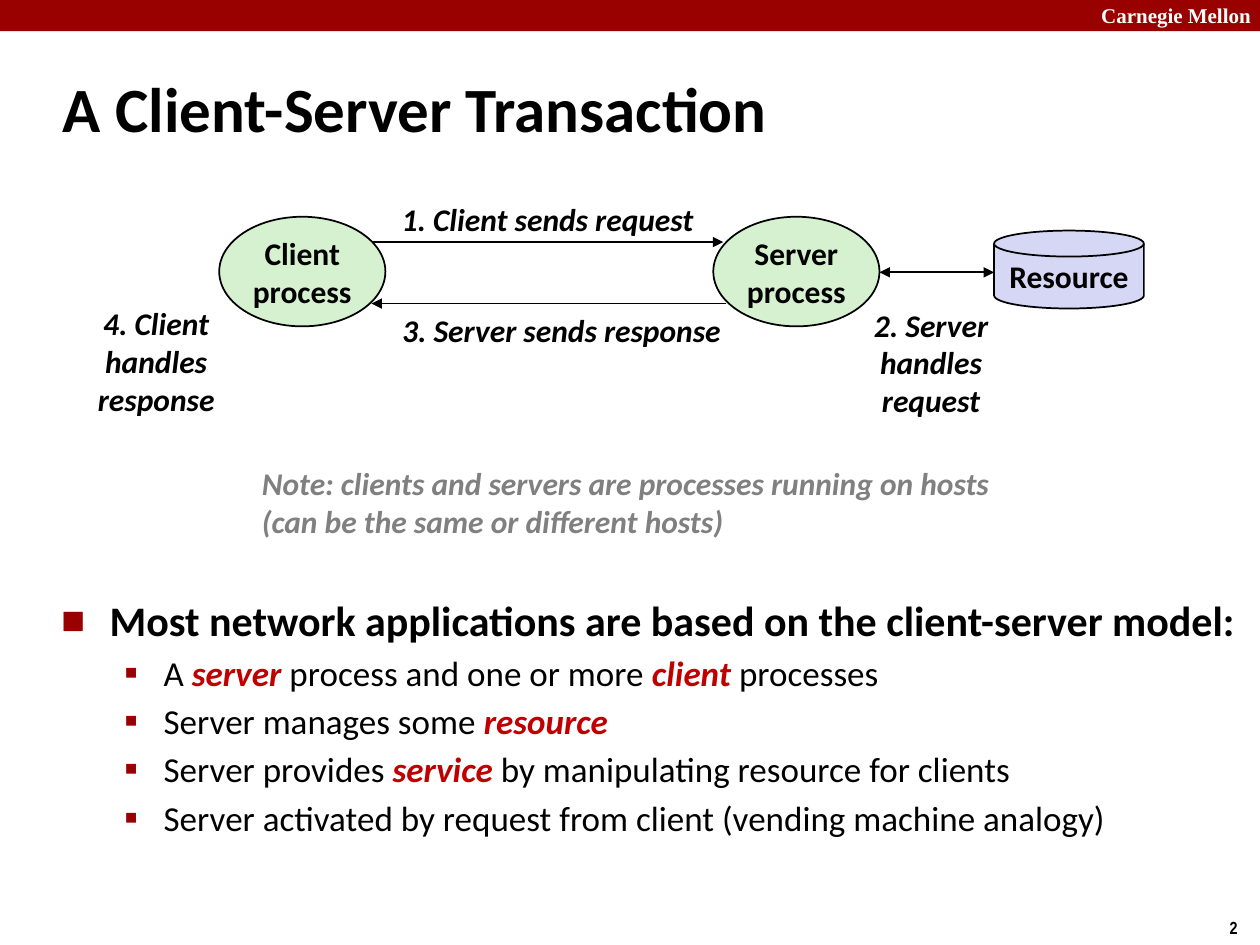
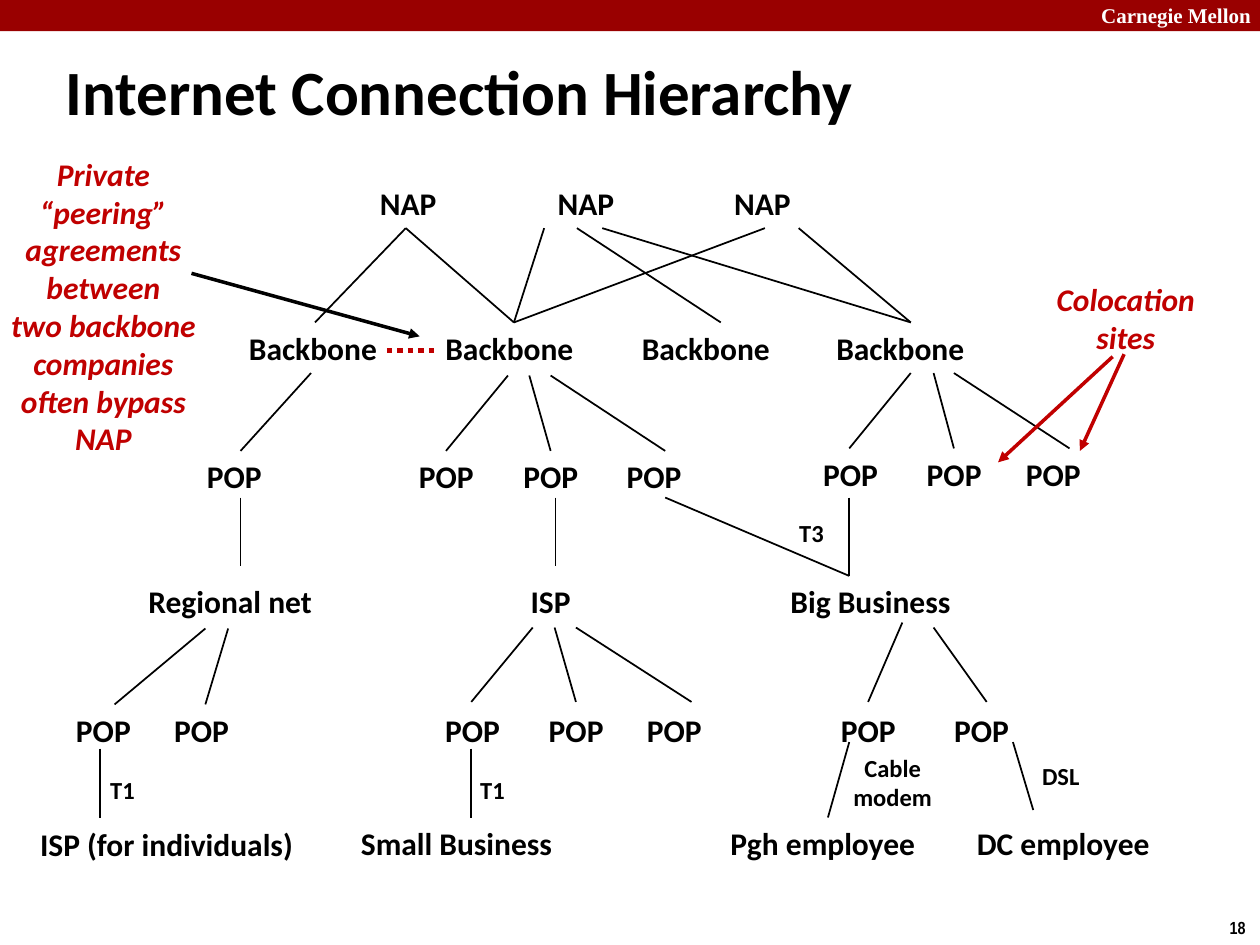
"""Build two networking slides: a client-server transaction and the Internet hierarchy."""
from dataclasses import dataclass

from lxml.etree import SubElement
from pptx import Presentation
from pptx.dml.color import RGBColor
from pptx.enum.dml import MSO_LINE
from pptx.enum.shapes import MSO_CONNECTOR, MSO_SHAPE
from pptx.enum.text import MSO_ANCHOR, PP_ALIGN
from pptx.oxml.ns import qn
from pptx.util import Cm, Pt


@dataclass(frozen=True)
class Theme:
    band: str = "990000"
    accent: str = "C00000"
    ink: str = "000000"
    note: str = "808080"
    paper: str = "FFFFFF"
    process: str = "D5F1CF"
    resource: str = "D6D6F5"
    font: str = "Calibri"
    band_font: str = "Times New Roman"
    page_font: str = "Arial Narrow"
    title: int = 36
    lead: int = 24
    body: int = 20
    label: int = 18
    small: int = 14
    header: int = 12
    page: int = 10


T = Theme()


def text(s, txt, x, y, w, h, *, shape=None, fill=None, size=T.label, font=T.font,
         color=T.ink, bold=True, italic=False, align=PP_ALIGN.CENTER,
         anchor=MSO_ANCHOR.MIDDLE):
    at = Cm(x), Cm(y), Cm(w), Cm(h)
    if shape is None:
        sp = s.shapes.add_textbox(*at)
    else:
        sp = s.shapes.add_shape(shape, *at)
        sp.shadow.inherit = False
        sp.fill.solid()
        sp.fill.fore_color.rgb = RGBColor.from_string(fill)
        sp.line.color.rgb = RGBColor.from_string(T.ink)
        sp.line.width = Pt(1)
    tf = sp.text_frame
    tf.word_wrap = align == PP_ALIGN.LEFT
    tf.vertical_anchor = anchor
    for i, row in enumerate(txt.split("\n")):
        p = tf.add_paragraph() if i else tf.paragraphs[0]
        p.alignment = align
        for j, part in enumerate(row.split("*")):
            key = j % 2 == 1
            r = p.add_run()
            r.text = part
            r.font.name = font
            r.font.size = Pt(size)
            r.font.bold = bold or key
            r.font.italic = italic or key
            r.font.color.rgb = RGBColor.from_string(T.accent if key else color)
    return tf


def line(s, x1, y1, x2, y2, *, color=T.ink, width=1, ends=(), dash=None):
    c = s.shapes.add_connector(MSO_CONNECTOR.STRAIGHT, Cm(x1), Cm(y1), Cm(x2), Cm(y2))
    c.line.color.rgb = RGBColor.from_string(color)
    c.line.width = Pt(width)
    if dash:
        c.line.dash_style = dash
    spPr = c._element.spPr
    for end in ends:
        SubElement(spPr.find(qn("a:ln")), qn(f"a:{end}"), type="triangle")
    SubElement(spPr, qn("a:effectLst"))


prs = Presentation()
prs.slide_width, prs.slide_height = Cm(25.4), Cm(19.05)

slides = []
for title, page, x, y, w, anchor in (
    ("A Client-Server Transaction", "2", 1.02, 1.37, 19.89, MSO_ANCHOR.MIDDLE),
    ("Internet Connection Hierarchy", "18", 1.07, 0.94, 20.96, MSO_ANCHOR.TOP),
):
    s = prs.slides.add_slide(prs.slide_layouts[6])
    band = s.shapes.add_shape(MSO_SHAPE.RECTANGLE, 0, 0, prs.slide_width, Cm(0.63))
    band.shadow.inherit = False
    band.fill.solid()
    band.fill.fore_color.rgb = RGBColor.from_string(T.band)
    band.line.fill.background()
    text(s, "Carnegie Mellon", 21.95, -0.08, 3.63, 0.76, size=T.header,
         font=T.band_font, color=T.paper, align=PP_ALIGN.LEFT)
    text(s, page, 24.54, 18.36, 0.86, 0.69, size=T.page, font=T.page_font,
         align=PP_ALIGN.LEFT)
    text(s, title, x, y, w, 1.6, size=T.title, align=PP_ALIGN.LEFT, anchor=anchor)
    slides.append(s)

s = slides[0]
line(s, 7.47, 4.88, 14.58, 4.88, ends=["tailEnd"])
line(s, 14.63, 6.12, 7.49, 6.12, ends=["tailEnd"])
line(s, 17.73, 5.49, 20.04, 5.49, ends=["headEnd", "tailEnd"])
for name, x in (("Client", 4.42), ("Server", 14.38)):
    text(s, f"{name}\nprocess", x, 4.37, 3.35, 2.21, shape=MSO_SHAPE.OVAL, fill=T.process)
text(s, "Resource", 20.04, 4.65, 3.02, 1.57,
     shape=MSO_SHAPE.FLOWCHART_MAGNETIC_DISK, fill=T.resource)
for step, x, y, w, h in (
    ("1. Client sends request", 7.8, 3.91, 6.48, 1.02),
    ("2. Server\nhandles\nrequest", 17.27, 6.02, 3, 2.57),
    ("3. Server sends response", 7.8, 6.15, 7.04, 1.02),
    ("4. Client\nhandles\nresponse", 1.7, 5.99, 2.9, 2.57),
):
    text(s, step, x, y, w, h, italic=True)
text(s, "Note: clients and servers are processes running on hosts\n"
     "(can be the same or different hosts)", 5.03, 9.22, 15.52, 1.8,
     color=T.note, italic=True, align=PP_ALIGN.LEFT)

tf = text(s, "Most network applications are based on the client-server model:\n"
          "A *server* process and one or more *client* processes\n"
          "Server manages some *resource*\n"
          "Server provides *service* by manipulating resource for clients\n"
          "Server activated by request from client (vending machine analogy)",
          0.99, 11.86, 24.18, 5.72, size=T.body, bold=False,
          align=PP_ALIGN.LEFT, anchor=MSO_ANCHOR.TOP)
for i, p in enumerate(tf.paragraphs):
    left, hang, mark, pct = (2.06, 0.79, "▪", 110) if i else (0.97, 0.97, "■", 60)
    if i:
        p.level = 1
        p.space_before = Pt(3.6)
    pPr = p._p.get_or_add_pPr()
    pPr.set("marL", str(Cm(left)))
    pPr.set("indent", str(-Cm(hang)))
    SubElement(SubElement(pPr, qn("a:buClr")), qn("a:srgbClr"), val=T.band)
    SubElement(pPr, qn("a:buSzPct"), val=str(pct * 1000))
    SubElement(pPr, qn("a:buFont"), typeface=T.font)
    SubElement(pPr, qn("a:buChar"), char=mark)
lead = tf.paragraphs[0].runs[0].font
lead.size, lead.bold = Pt(T.lead), True

s = slides[1]
links = (
    (4.6, 6.5, [(8.18, 6.35), (8.18, 10.36), (10.97, 10.36), (11.63, 14.53),
                (12.14, 18.36), (15.42, 10.36), (16.1, 18.36)]),
    (7.52, 9.09, [(6.27, 4.85)]),
    (7.57, 9.09, [(10.24, 8.99), (10.67, 11.1), (11.1, 13.41)]),
    (7.52, 9.04, [(18.36, 17.12), (18.82, 19.23), (19.23, 21.56)]),
    (10.03, 11.4, [(4.85, 4.85), (11.2, 11.2)]),
    (10.03, 11.61, [(13.41, 17.12), (17.12, 17.12)]),
    (12.67, 14.2, [(4.14, 2.31), (4.6, 4.14)]),
    (12.65, 14.15, [(10.74, 9.5), (11.18, 11.61), (11.61, 13.94), (18.82, 19.89)]),
    (12.55, 14.15, [(18.19, 17.5)]),
    (15.09, 16.48, [(2.01, 2.01), (9.5, 9.5)]),
    (14.96, 16.48, [(17.12, 16.69)]),
    (14.96, 16.33, [(20.42, 20.83)]),
)
for top, bottom, pairs in links:
    for x1, x2 in pairs:
        line(s, x1, top, x2, bottom)

nodes = (
    ("NAP", 3.58, 1.68, [7.39, 10.97, 14.53]),
    ("Backbone", 6.5, 3.12, [4.75, 8.71, 12.67, 16.59]),
    ("POP", 9.09, 1.63, [3.91, 8.18, 10.29, 12.37]),
    ("POP", 9.04, 1.63, [16.33, 18.42, 20.42]),
    ("Regional net", 11.61, 3.84, [2.72]),
    ("ISP", 11.61, 1.32, [10.44]),
    ("Big Business", 11.61, 3.76, [15.67]),
    ("POP", 14.2, 1.63, [1.27, 3.25, 8.71, 10.8, 12.78, 16.69, 18.97]),
    ("ISP (for individuals)", 16.51, 5.66, [0.53]),
    ("Small Business", 16.48, 4.39, [7.01]),
    ("Pgh employee", 16.48, 4.27, [14.45]),
    ("DC employee", 16.48, 4.01, [19.43]),
)
for name, y, w, xs in nodes:
    for x in xs:
        text(s, name, x, y, w, 1.02)

for name, x, y, w, h in (
    ("T3", 15.85, 10.31, 1.02, 0.86),
    ("T1", 1.96, 15.49, 1.02, 0.86),
    ("T1", 9.42, 15.49, 1.02, 0.86),
    ("DSL", 20.75, 15.21, 1.27, 0.86),
    ("Cable\nmodem", 16.94, 15.04, 2.11, 1.45),
):
    text(s, name, x, y, w, h, size=T.small)

text(s, "Private\n“peering”\nagreements\nbetween\ntwo backbone\ncompanies\noften bypass\nNAP",
     -0.05, 2.97, 4.27, 6.4, color=T.accent, italic=True)
text(s, "Colocation\nsites", 21.03, 5.51, 3.33, 1.8, color=T.accent, italic=True)
line(s, 3.86, 5.51, 8.46, 6.78, width=2, ends=["tailEnd"])
line(s, 7.8, 7.06, 8.84, 7.06, color=T.accent, width=3, dash=MSO_LINE.ROUND_DOT)
for x1, y1, x2, y2 in ((22.66, 7.14, 21.77, 9.09), (22.43, 7.19, 20.12, 9.32)):
    line(s, x1, y1, x2, y2, color=T.accent, width=2, ends=["tailEnd"])

prs.save("out.pptx")
